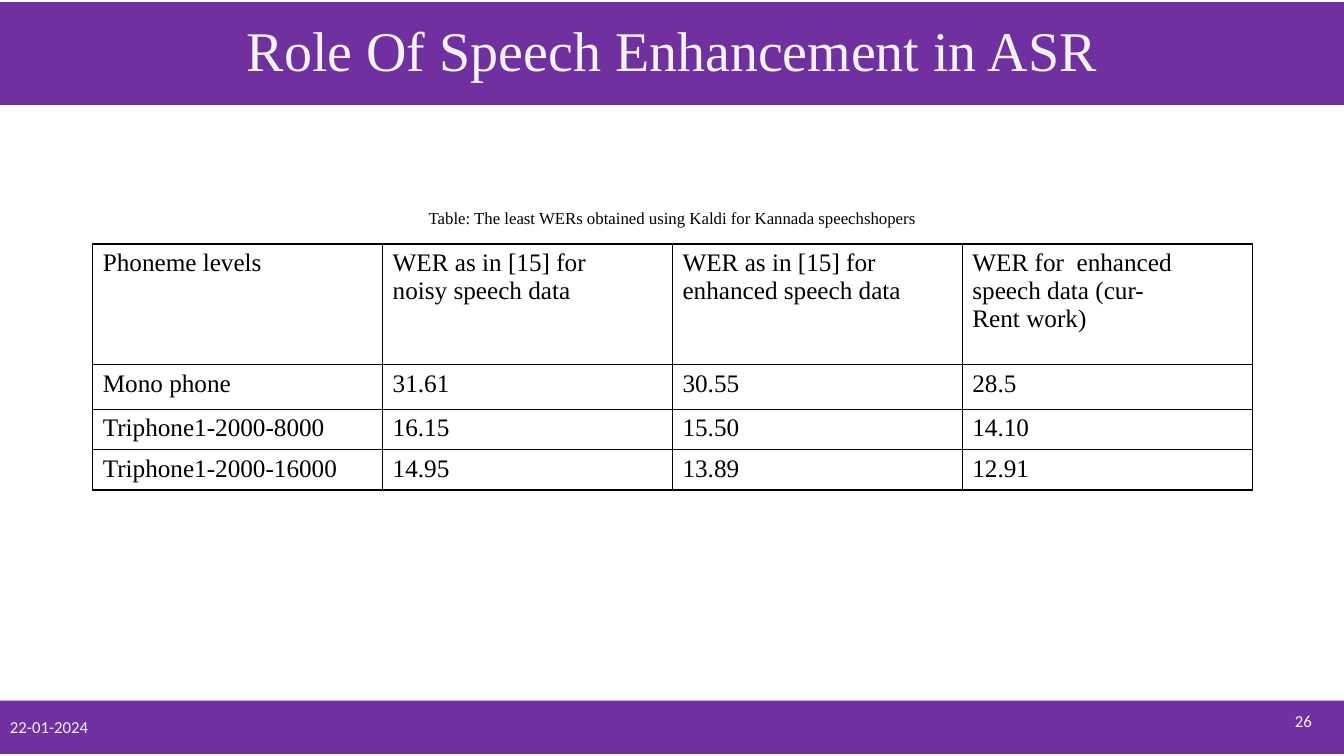
import pptx
import pptx.dml.color
import pptx.enum.shapes
import pptx.enum.text
import pptx.oxml
import pptx.oxml.ns
import pptx.util

Inches = pptx.util.Inches
Align = pptx.enum.text.PP_ALIGN
Anchor = pptx.enum.text.MSO_ANCHOR

PURPLE, PALE, BLACK = "7030A0", "F2F2F2", "000000"
SERIF, SANS = "Times New Roman", "Calibri"

ROW_HEIGHTS = [1.2, 0.44, 0.4, 0.38]
WER_ROWS = [
    ["Phoneme levels", "WER as in [15] for\nnoisy speech data",
     "WER as in [15] for\nenhanced speech data",
     "WER for  enhanced\nspeech data (cur-\nRent work)"],
    ["Mono phone", "31.61", "30.55", "28.5"],
    ["Triphone1-2000-8000", "16.15", "15.50", "14.10"],
    ["Triphone1-2000-16000", "14.95", "13.89", "12.91"],
]


def colour(value):
    return pptx.dml.color.RGBColor.from_string(value)


def fill_solid(item, value):
    item.fill.solid()
    item.fill.fore_color.rgb = colour(value)


def write(frame, text, size, font, ink, align=Align.LEFT):
    frame.word_wrap = True
    for index, line in enumerate(text.split("\n")):
        para = frame.paragraphs[0] if index == 0 else frame.add_paragraph()
        para.alignment = align
        span = para.add_run()
        span.text = line
        span.font.size = pptx.util.Pt(size)
        span.font.name = font
        span.font.color.rgb = colour(ink)


def add_label(page, box, text, font, ink, align, anchor):
    label = page.shapes.add_textbox(*map(Inches, box))
    label.text_frame.vertical_anchor = anchor
    write(label.text_frame, text, 12, font, ink, align)


def add_title(page, box):
    title = page.shapes.title
    title.left, title.top, title.width, title.height = map(Inches, box)
    fill_solid(title, PURPLE)
    title.text_frame.vertical_anchor = Anchor.MIDDLE
    write(title.text_frame, "Role Of Speech Enhancement in ASR", 40, SERIF, PALE, Align.CENTER)
    title.text_frame.paragraphs[0].line_spacing = 0.9


def add_footer(page, box):
    left, top, width, height = box
    band = page.shapes.add_shape(pptx.enum.shapes.MSO_SHAPE.RECTANGLE, *map(Inches, box))
    band.shadow.inherit = False
    fill_solid(band, PURPLE)
    band.line.fill.background()
    band.text_frame.vertical_anchor = Anchor.MIDDLE
    write(band.text_frame, "22-01-2024", 12, SANS, PALE)
    number_box = (left + width - 3.16, top, 2.94, 0.4)
    add_label(page, number_box, "26", SANS, PALE, Align.RIGHT, Anchor.MIDDLE)


def add_borders(cell):
    properties = cell._tc.get_or_add_tcPr()
    for position, side in enumerate(("lnL", "lnR", "lnT", "lnB")):
        properties.insert(position, pptx.oxml.parse_xml(
            f'<a:{side} {pptx.oxml.ns.nsdecls("a")} w="12700"><a:solidFill>'
            f'<a:srgbClr val="{BLACK}"/></a:solidFill></a:{side}>'))


def add_wer_table(page, box):
    left, top, width, height = box
    caption = "Table: The least WERs obtained using Kaldi for Kannada speechshopers"
    add_label(page, (left, top, width, 0.3), caption, SERIF, BLACK, Align.CENTER, Anchor.TOP)
    table_box = (left, top + 0.41, width, height - 0.41)
    table = page.shapes.add_table(
        len(WER_ROWS), len(WER_ROWS[0]), *map(Inches, table_box)).table
    table.first_row = False
    table.horz_banding = False
    for row, row_height, texts in zip(table.rows, ROW_HEIGHTS, WER_ROWS):
        row.height = Inches(row_height)
        for cell, text in zip(row.cells, texts):
            cell.fill.background()
            write(cell.text_frame, text, 18, SERIF, BLACK)
            add_borders(cell)


def main():
    deck = pptx.Presentation()
    deck.slide_width, deck.slide_height = Inches(13.33), Inches(7.5)
    page = deck.slides.add_slide(deck.slide_layouts.get_by_name("Title Only"))
    add_title(page, (0, 0.02, 13.33, 1.02))
    add_footer(page, (0, 6.95, 13.33, 0.53))
    add_wer_table(page, (0.92, 2.01, 11.5, 0.41 + sum(ROW_HEIGHTS)))
    deck.save("out.pptx")


if __name__ == "__main__":
    main()
